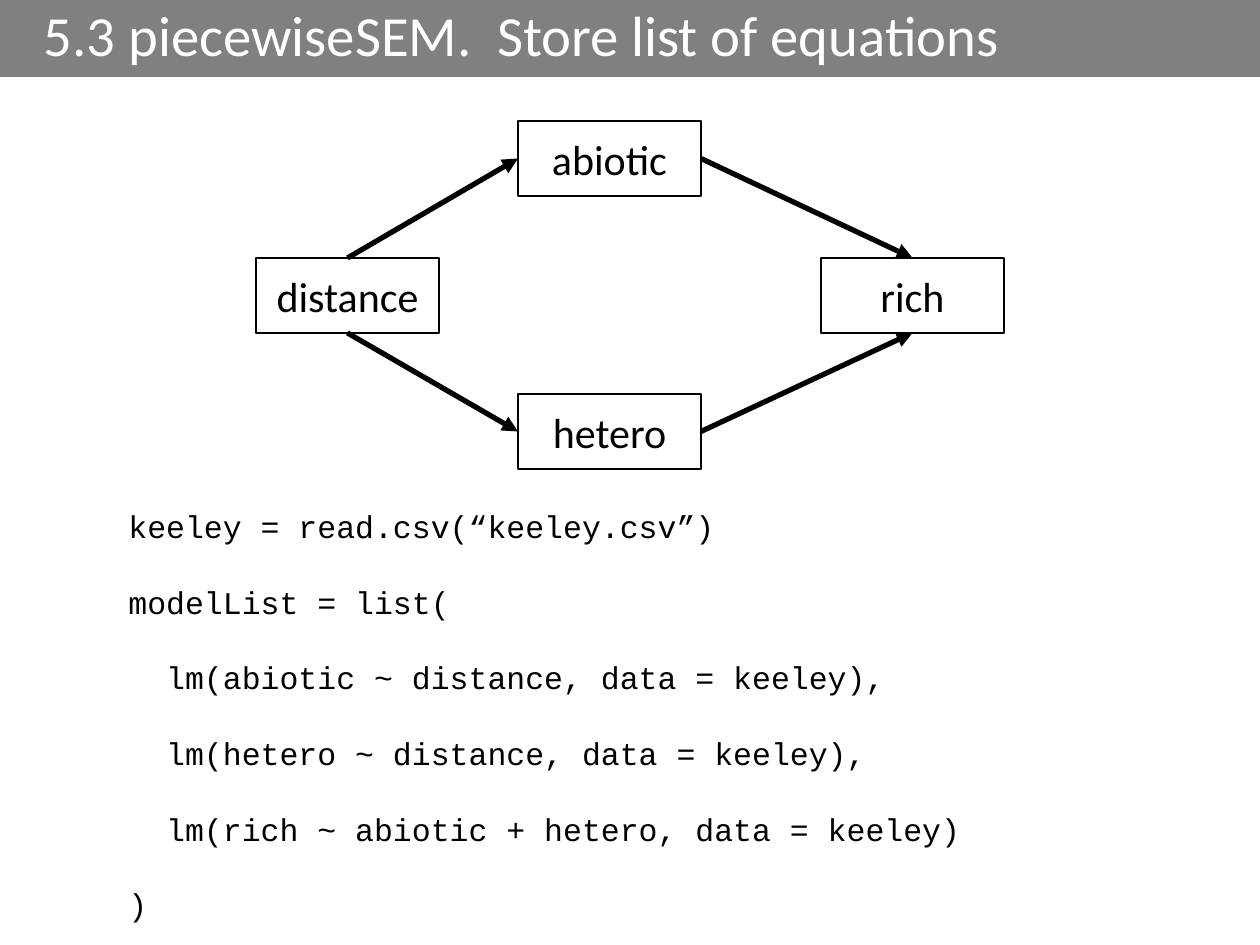
from lxml import etree
from pptx import Presentation
from pptx import util as u
from pptx.dml.color import RGBColor
from pptx.enum import shapes, text
from pptx.oxml.ns import qn

SCALE = 914400 / 126
NODE_SIZE = (183, 75)
TOP, LEFT, BOTTOM, RIGHT = range(4)
NODES = {
    "distance": (256, 258),
    "rich": (821, 258),
    "hetero": (518, 394),
    "abiotic": (518, 121),
}
PATHS = [
    ("distance", BOTTOM, "hetero", LEFT),
    ("hetero", RIGHT, "rich", BOTTOM),
    ("distance", TOP, "abiotic", LEFT),
    ("abiotic", RIGHT, "rich", TOP),
]
CODE = [
    "keeley = read.csv(“keeley.csv”)",
    "modelList = list(",
    "  lm(abiotic ~ distance, data = keeley),",
    "  lm(hetero ~ distance, data = keeley),",
    "  lm(rich ~ abiotic + hetero, data = keeley)",
    ")",
]


def px(*lengths):
    return [u.Emu(round(length * SCALE)) for length in lengths]


def color(value):
    return RGBColor.from_string(value)


def apply_format(target, values):
    for name, value in values.items():
        setattr(target, name, value)


def write(para, words, size, font, ink="000000", **layout):
    apply_format(para, layout)
    span = para.add_run()
    span.text = words
    apply_format(span.font, {"size": u.Pt(size), "name": font})
    span.font.color.rgb = color(ink)


def add_rectangle(page, left, top, width, height, fill):
    box = page.shapes.add_shape(
        shapes.MSO_SHAPE.RECTANGLE, *px(left, top, width, height)
    )
    box.shadow.inherit = False
    box.fill.solid()
    box.fill.fore_color.rgb = color(fill)
    box.text_frame.vertical_anchor = text.MSO_ANCHOR.MIDDLE
    return box


def add_title(page, words):
    box = add_rectangle(page, 0, 0, 1260, 77, "808080")
    box.line.fill.background()
    box.text_frame.margin_left = px(44)[0]
    write(box.text_frame.paragraphs[0], words, 32.4, "Calibri", "FFFFFF",
          alignment=text.PP_ALIGN.LEFT, line_spacing=0.9)


def add_node(page, name, left, top):
    box = add_rectangle(page, left, top, *NODE_SIZE, "FFFFFF")
    box.line.color.rgb = color("000000")
    box.line.width = u.Pt(1)
    write(box.text_frame.paragraphs[0], name, 24, "Calibri",
          alignment=text.PP_ALIGN.CENTER)
    return box


def add_arrow(page, start, start_side, end, end_side):
    arrow = page.shapes.add_connector(shapes.MSO_CONNECTOR.STRAIGHT, 0, 0, 0, 0)
    arrow.begin_connect(start, start_side)
    arrow.end_connect(end, end_side)
    arrow.line.color.rgb = color("000000")
    arrow.line.width = u.Pt(3)
    etree.SubElement(arrow.line._get_or_add_ln(), qn("a:tailEnd"), type="triangle")
    etree.SubElement(arrow._element.spPr, qn("a:effectLst"))


def add_code(page, lines):
    box = page.shapes.add_textbox(*px(116, 501, 862, 432))
    frame = box.text_frame
    frame.word_wrap = False
    for index, line in enumerate(lines):
        para = frame.add_paragraph() if index else frame.paragraphs[0]
        gap = u.Pt(21.6 if index else 0)
        write(para, line, 18, "Courier New",
              line_spacing=u.Pt(21.6), space_before=gap)


def main():
    deck = Presentation()
    deck.slide_width, deck.slide_height = px(1260, 945)
    page = deck.slides.add_slide(deck.slide_layouts[6])
    add_title(page, "5.3 piecewiseSEM.  Store list of equations")
    add_code(page, CODE)
    nodes = {name: add_node(page, name, *place) for name, place in NODES.items()}
    for start, start_side, end, end_side in PATHS:
        add_arrow(page, nodes[start], start_side, nodes[end], end_side)
    deck.save("out.pptx")


if __name__ == "__main__":
    main()
